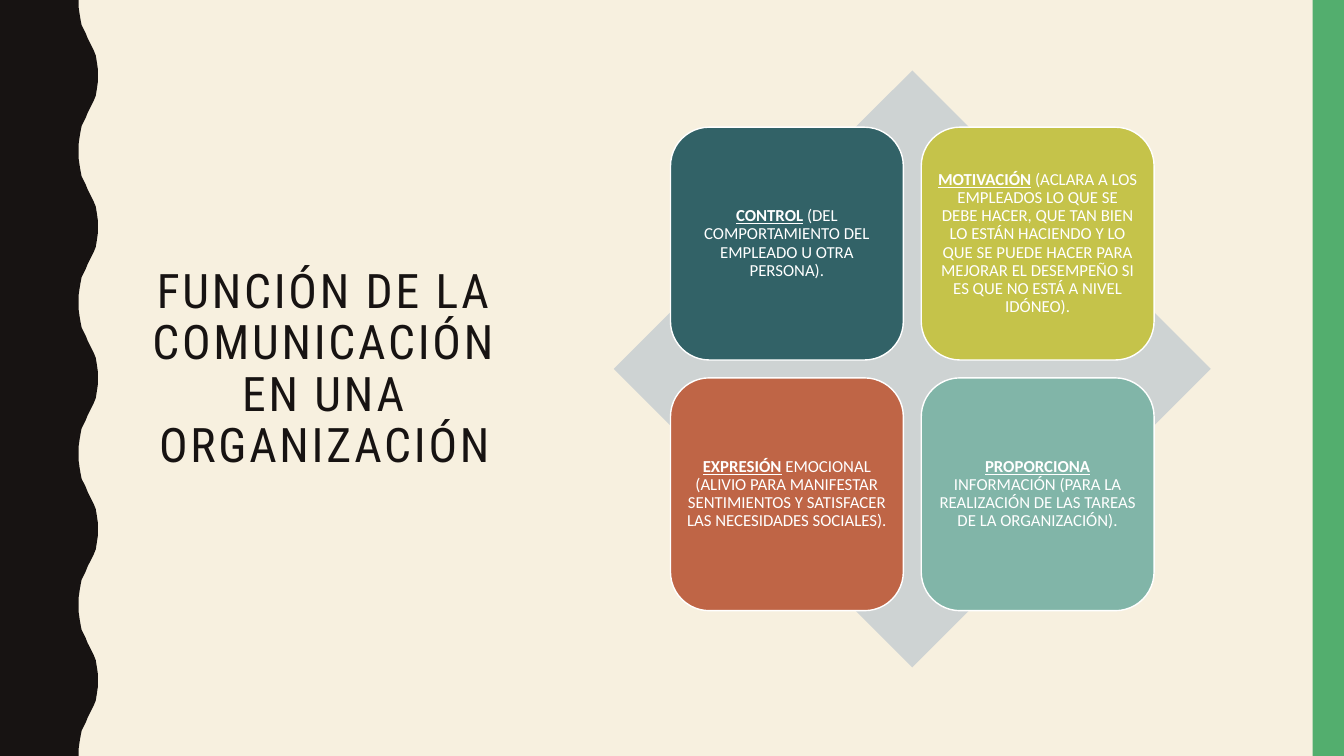
from dataclasses import dataclass

import pptx
import pptx.dml.color
import pptx.enum.shapes
import pptx.enum.text
import pptx.util

WIDE = pptx.util.Inches(13.33)
HIGH = pptx.util.Inches(7.5)
KIND = pptx.enum.shapes.MSO_SHAPE


@dataclass(frozen=True)
class Theme:
    paper: str = "F7F0DF"
    ink: str = "171312"
    strip: str = "53AE6E"
    diamond: str = "CED3D3"
    white: str = "FFFFFF"
    head_font: str = "Roboto Condensed"
    card_font: str = "Calibri"
    head_size: int = 34
    card_size: int = 12
    head_gap: int = 200  # letter spacing, hundredths of a point
    leading: float = 0.9


@dataclass(frozen=True)
class Box:
    """Left and width in % of slide width, top and height in % of its height."""
    left: float
    top: float
    width: float
    height: float

    def place(self) -> tuple[int, int, int, int]:
        return (int(WIDE * self.left / 100), int(HIGH * self.top / 100),
                int(WIDE * self.width / 100), int(HIGH * self.height / 100))


@dataclass(frozen=True)
class Card:
    col: int
    row: int
    fill: str
    key: str
    rest: str


THEME = Theme()
STRIP = Box(97.67, 0, 2.33, 100)
TITLE = Box(10.28, 9.47, 27.75, 78.93)
DIAMOND = Box(45.67, 9.33, 44.42, 78.95)

# Card grid, as shares of the diamond's side
STARTS = (0.095, 0.515)
SIDE = 0.39

CARDS = (
    Card(0, 0, "326267", "CONTROL",
         " (DEL COMPORTAMIENTO DEL EMPLEADO U OTRA PERSONA)."),
    Card(1, 0, "C5C34A", "MOTIVACIÓN",
         " (ACLARA A LOS EMPLEADOS LO QUE SE DEBE HACER, QUE TAN BIEN LO ESTÁN "
         "HACIENDO Y LO QUE SE PUEDE HACER PARA MEJORAR EL DESEMPEÑO SI ES QUE "
         "NO ESTÁ A NIVEL IDÓNEO)."),
    Card(0, 1, "BF6546", "EXPRESIÓN",
         " EMOCIONAL (ALIVIO PARA MANIFESTAR SENTIMIENTOS Y SATISFACER LAS "
         "NECESIDADES SOCIALES)."),
    Card(1, 1, "81B5A8", "PROPORCIONA",
         " INFORMACIÓN (PARA LA REALIZACIÓN DE LAS TAREAS DE LA ORGANIZACIÓN)."),
)

# Half a wave from trough to crest, (x, y) in 1/750 of the slide height
HALF = ((78, 0), (78, 7), (79, 14), (80, 20), (81, 25), (83, 29), (85, 33),
        (87, 38), (89, 42), (91, 46), (93, 50), (95, 55), (96, 61), (97, 68),
        (97, 75))
PERIOD = 150
WAVES = 5


def color(code: str) -> pptx.dml.color.RGBColor:
    return pptx.dml.color.RGBColor.from_string(code)


def paint(shape, fill: str, edge: str | None = None) -> None:
    shape.shadow.inherit = False
    shape.fill.solid()
    shape.fill.fore_color.rgb = color(fill)
    if edge:
        shape.line.color.rgb = color(edge)
        shape.line.width = pptx.util.Pt(1)
    else:
        shape.line.fill.background()


def center(frame) -> None:
    frame.word_wrap = True
    frame.vertical_anchor = pptx.enum.text.MSO_ANCHOR.MIDDLE
    para = frame.paragraphs[0]
    para.alignment = pptx.enum.text.PP_ALIGN.CENTER
    para.line_spacing = THEME.leading


def style(run, name: str, size: int, code: str) -> None:
    run.font.name = name
    run.font.size = pptx.util.Pt(size)
    run.font.color.rgb = color(code)


def draw_wave(slide) -> None:
    rise = [(x, PERIOD - y) for x, y in reversed(HALF[1:-1])]
    curve = [(x, y + PERIOD * n) for n in range(WAVES) for x, y in (*HALF, *rise)]
    end = PERIOD * WAVES
    pen = slide.shapes.build_freeform(0, 0, scale=HIGH / end)
    pen.add_line_segments([*curve, (HALF[0][0], end), (0, end)], close=True)
    paint(pen.convert_to_shape(), THEME.ink)


def draw_shape(slide, kind: KIND, box: Box, fill: str) -> None:
    paint(slide.shapes.add_shape(kind, *box.place()), fill)


def draw_title(slide, text: str) -> None:
    frame = slide.shapes.add_textbox(*TITLE.place()).text_frame
    frame.text = text
    center(frame)
    run = frame.paragraphs[0].runs[0]
    style(run, THEME.head_font, THEME.head_size, THEME.ink)
    run.font._element.set("spc", str(THEME.head_gap))


def draw_card(slide, card: Card) -> None:
    left, top, side, _ = DIAMOND.place()
    size = int(side * SIDE)
    shape = slide.shapes.add_shape(
        KIND.ROUNDED_RECTANGLE, left + int(side * STARTS[card.col]),
        top + int(side * STARTS[card.row]), size, size)
    paint(shape, card.fill, THEME.white)
    frame = shape.text_frame
    frame.margin_left = frame.margin_right = pptx.util.Inches(0.05)
    frame.margin_top = frame.margin_bottom = pptx.util.Inches(0.05)
    frame.text = card.key
    center(frame)
    para = frame.paragraphs[0]
    para.add_run().text = card.rest
    for run in para.runs:
        style(run, THEME.card_font, THEME.card_size, THEME.white)
    para.runs[0].font.bold = True
    para.runs[0].font.underline = True


def main() -> None:
    deck = pptx.Presentation()
    deck.slide_width, deck.slide_height = WIDE, HIGH
    slide = deck.slides.add_slide(deck.slide_layouts[6])
    slide.background.fill.solid()
    slide.background.fill.fore_color.rgb = color(THEME.paper)

    # Side decoration
    draw_wave(slide)
    draw_shape(slide, KIND.RECTANGLE, STRIP, THEME.strip)

    # Title and card matrix
    draw_title(slide, "FUNCIÓN DE LA COMUNICACIÓN EN UNA ORGANIZACIÓN")
    draw_shape(slide, KIND.DIAMOND, DIAMOND, THEME.diamond)
    for card in CARDS:
        draw_card(slide, card)

    deck.save("out.pptx")


if __name__ == "__main__":
    main()
